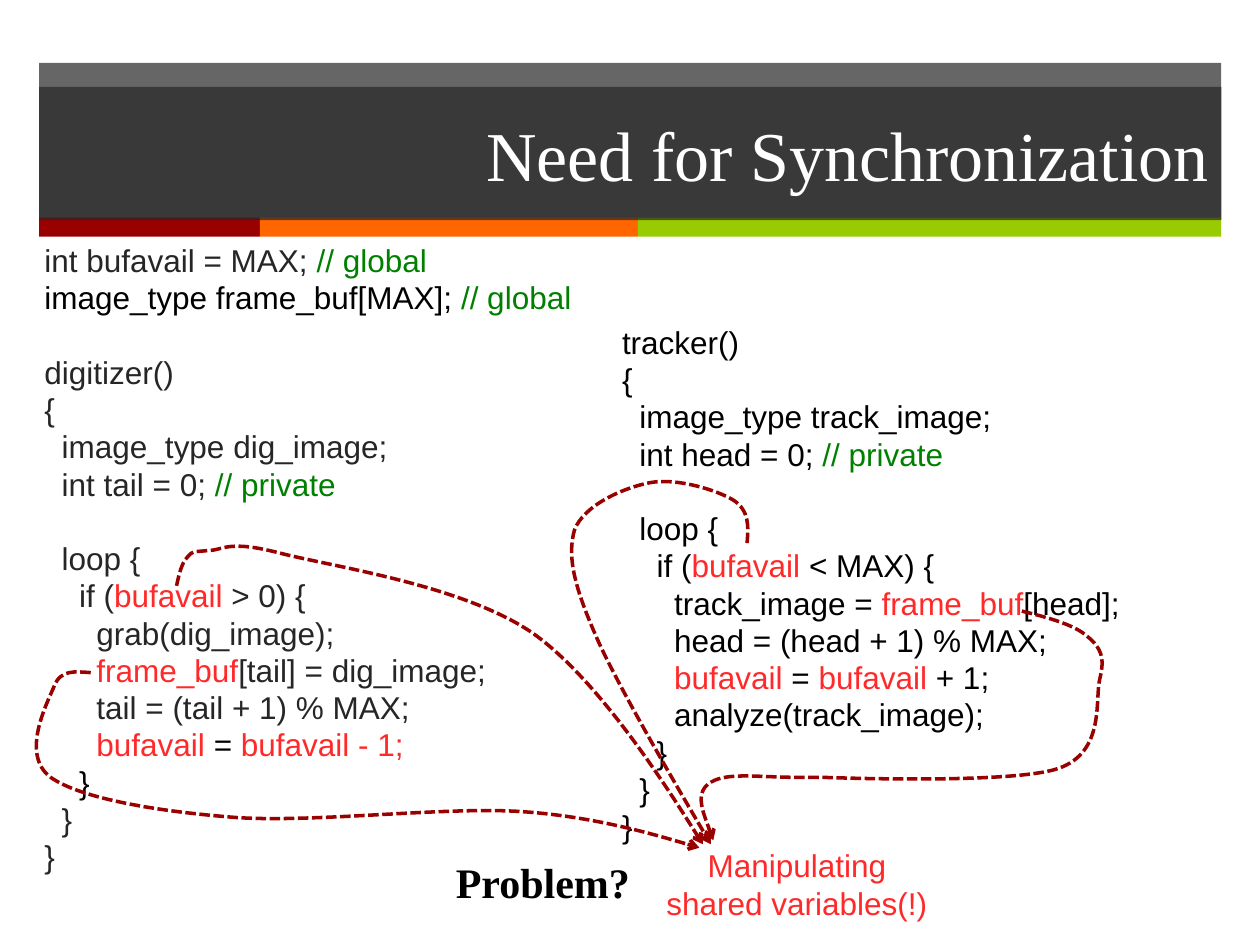
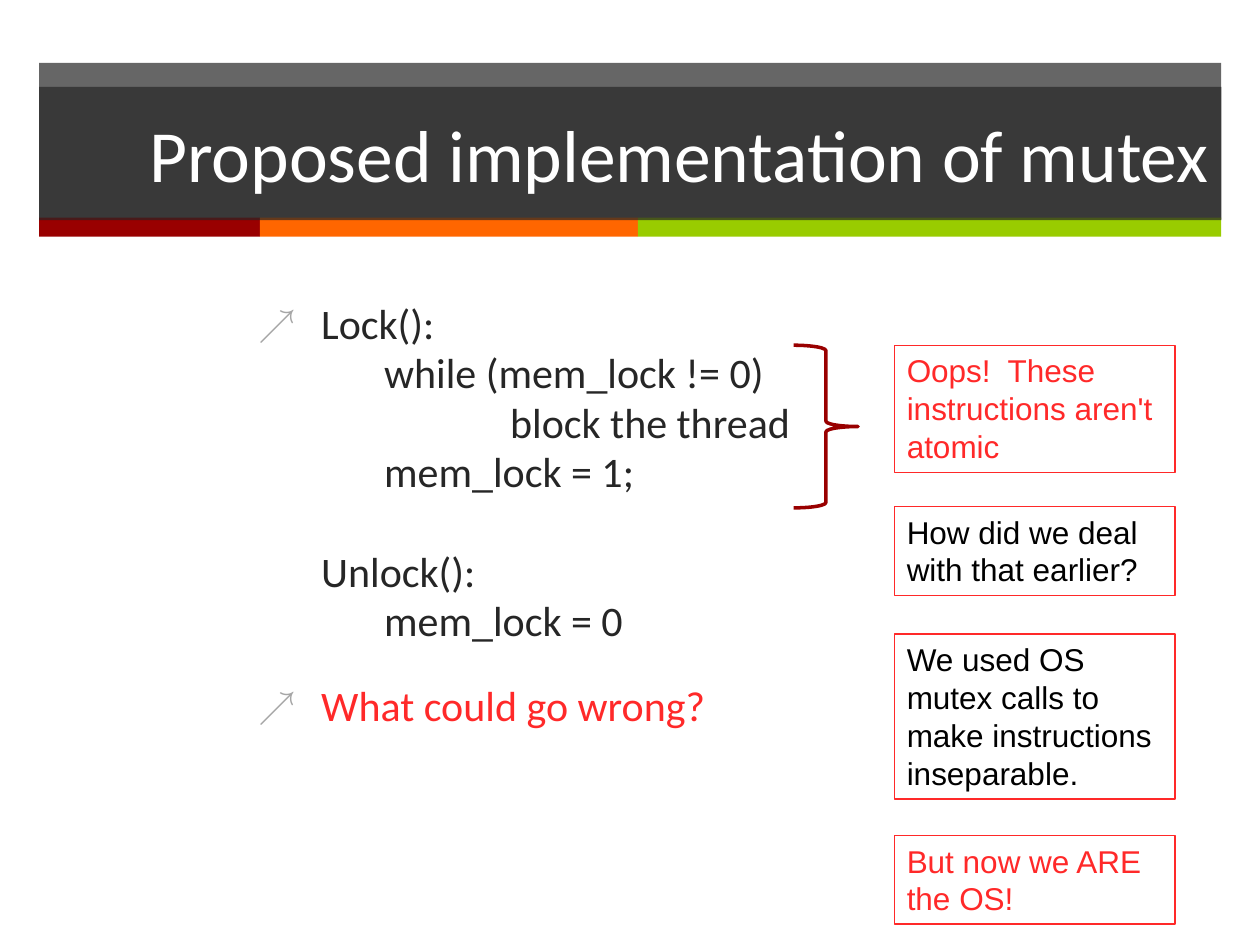
"""Build two slides on thread synchronization and a proposed mutex."""
from dataclasses import dataclass

from lxml import etree
from pptx import Presentation
from pptx.dml.color import RGBColor
from pptx.enum.dml import MSO_LINE
from pptx.enum.shapes import MSO_SHAPE
from pptx.enum.text import MSO_ANCHOR, MSO_AUTO_SIZE, PP_ALIGN
from pptx.oxml.ns import qn
from pptx.util import Cm, Pt

RECTANGLE, RIGHT_BRACE = MSO_SHAPE.RECTANGLE, MSO_SHAPE.RIGHT_BRACE
DASHED = MSO_LINE.SQUARE_DOT
TOP, MIDDLE = MSO_ANCHOR.TOP, MSO_ANCHOR.MIDDLE
LEFT, CENTER, RIGHT = PP_ALIGN.LEFT, PP_ALIGN.CENTER, PP_ALIGN.RIGHT
FIXED_SIZE = MSO_AUTO_SIZE.NONE

WHITE = RGBColor(0xFF, 0xFF, 0xFF)
BLACK = RGBColor(0x00, 0x00, 0x00)
CHARCOAL = RGBColor(0x26, 0x26, 0x26)
DARK_RED = RGBColor(0x99, 0x00, 0x00)
ORANGE = RGBColor(0xFF, 0x66, 0x00)
LIME = RGBColor(0x99, 0xCC, 0x00)
GREEN = RGBColor(0x00, 0x80, 0x00)
RED = RGBColor(0xFF, 0x29, 0x29)
BULLET_GREY = "A6A6A6"

SANS, SERIF, CALIBRI = "Arial", "Times New Roman", "Calibri"

BAND_LEFT, BAND_WIDTH = 0.79, 23.83
STRIPE_TOP, STRIPE_HEIGHT = 4.39, 0.38
STRIPES = ((4.45, DARK_RED), (7.62, ORANGE), (11.76, LIME))
CODE_STEP = 0.35


@dataclass(frozen=True)
class Box:
    """A rectangle on the slide, in centimetres."""
    left: float
    top: float
    width: float
    height: float

    def lengths(self) -> tuple:
        """Return the four values as slide lengths."""
        return Cm(self.left), Cm(self.top), Cm(self.width), Cm(self.height)


@dataclass(frozen=True)
class TextStyle:
    """Font, size and weight of a run."""
    font: str
    size: float
    bold: bool = False


@dataclass(frozen=True)
class Line:
    """One line of code: nesting depth, (text, colour) tokens, blank line above."""
    depth: int
    tokens: tuple
    gap: bool = False


@dataclass(frozen=True)
class MutexLine:
    """One line of the mutex list, indented and spaced from the line above."""
    text: str
    indent: float
    space: float = 0
    bullet: bool = False
    color: RGBColor = CHARCOAL


@dataclass(frozen=True)
class Remark:
    """A framed remark, as tall as its number of lines."""
    text: str
    top: float
    lines: int
    color: RGBColor


CODE = TextStyle(SANS, 18)
LIST = TextStyle(CALIBRI, 24)

DIGITIZER = (
    Line(0, (("int bufavail = MAX; ", CHARCOAL), ("// global", GREEN))),
    Line(0, (("image_type frame_buf[MAX]; ", BLACK), ("// global", GREEN))),
    Line(0, (("digitizer()", CHARCOAL),), gap=True),
    Line(0, (("{", CHARCOAL),)),
    Line(1, (("image_type dig_image;", CHARCOAL),)),
    Line(1, (("int tail = 0; ", CHARCOAL), ("// private", GREEN))),
    Line(1, (("loop {", CHARCOAL),), gap=True),
    Line(2, (("if (", CHARCOAL), ("bufavail ", RED), ("> 0) {", CHARCOAL))),
    Line(3, (("grab(dig_image);", CHARCOAL),)),
    Line(3, (("frame_buf", RED), ("[tail] = dig_image;", CHARCOAL))),
    Line(3, (("tail = (tail + 1) % MAX;", CHARCOAL),)),
    Line(3, (("bufavail ", RED), ("= ", BLACK), ("bufavail - 1;", RED))),
    Line(2, (("}", BLACK),)),
    Line(1, (("}", CHARCOAL),)),
    Line(0, (("}", CHARCOAL),)),
)
TRACKER = (
    Line(0, (("tracker()", BLACK),)),
    Line(0, (("{", BLACK),)),
    Line(1, (("image_type track_image;", BLACK),)),
    Line(1, (("int head = 0; ", BLACK), ("// private", GREEN))),
    Line(1, (("loop {", BLACK),), gap=True),
    Line(2, (("if (", BLACK), ("bufavail ", RED), ("< MAX) {", BLACK))),
    Line(3, (("track_image = ", BLACK), ("frame_buf", RED), ("[head];", BLACK))),
    Line(3, (("head = (head + 1) % MAX;", BLACK),)),
    Line(3, (("bufavail ", RED), ("= ", BLACK), ("bufavail ", RED), ("+ 1;", BLACK))),
    Line(3, (("analyze(track_image);", BLACK),)),
    Line(2, (("}", BLACK),)),
    Line(1, (("}", BLACK),)),
    Line(0, (("}", BLACK),)),
)

# Each arrow: a start point, then three Bezier points per segment.
SHARED_ACCESS_ARROWS = (
    ((3.56, 11.81), (3.61, 11.58), (3.66, 11.35), (3.78, 11.23),
     (3.89, 11.1), (3.89, 11.13), (4.19, 11.1),
     (4.5, 11.1), (4.57, 10.87), (5.64, 11.15),
     (6.73, 11.43), (9.3, 11.79), (10.72, 12.75),
     (12.14, 13.74), (14.17, 17.02), (14.17, 17.02)),
    ((15.06, 10.95), (15.09, 10.62), (15.11, 10.29), (14.78, 10.08),
     (14.45, 9.88), (13.64, 9.63), (13.11, 9.73),
     (12.57, 9.83), (11.76, 10.19), (11.58, 10.69),
     (11.43, 11.23), (11.58, 11.84), (12.04, 12.88),
     (12.5, 13.92), (14.33, 17.02), (14.33, 17.02)),
    ((1.83, 13.56), (1.52, 13.54), (1.22, 13.49), (1.09, 13.84),
     (0.94, 14.2), (0.41, 15.21), (1.02, 15.67),
     (1.63, 16.1), (3.18, 16.36), (4.75, 16.48),
     (6.35, 16.59), (8.94, 16.26), (10.49, 16.36),
     (12.04, 16.46), (14.1, 17.09), (14.1, 17.09)),
    ((20.6, 12.32), (21.13, 12.45), (21.67, 12.6), (21.92, 12.83),
     (22.2, 13.06), (22.28, 13.26), (22.17, 13.69),
     (22.07, 14.12), (22.28, 15.16), (21.34, 15.49),
     (20.4, 15.82), (16.56, 15.67), (16.56, 15.67),
     (15.39, 15.7), (14.71, 15.54), (14.33, 15.77),
     (13.97, 15.98), (14.38, 16.94), (14.38, 16.94)),
)

MUTEX = (
    MutexLine("Lock():", 1.27, bullet=True),
    MutexLine("while (mem_lock != 0)", 2.54),
    MutexLine("block the thread", 5.08),
    MutexLine("mem_lock = 1;", 2.54),
    MutexLine("Unlock():", 1.27, space=28.8),
    MutexLine("mem_lock = 0", 2.54),
    MutexLine("What could go wrong?", 1.27, space=20, bullet=True, color=RED),
)
REMARKS = (
    Remark("Oops!  These instructions aren't atomic", 6.96, 3, RED),
    Remark("How did we deal with that earlier?", 10.21, 2, BLACK),
    Remark("We used OS mutex calls to make instructions inseparable.", 12.78, 4, BLACK),
    Remark("But now we ARE the OS!", 16.84, 2, RED),
)


def add_run(paragraph, text: str, style: TextStyle, color: RGBColor) -> None:
    """Append one formatted run."""
    run = paragraph.add_run()
    run.text = text
    run.font.name, run.font.size = style.font, Pt(style.size)
    run.font.bold = style.bold
    run.font.color.rgb = color


def place(shape, box: Box) -> None:
    """Move and size a placeholder."""
    shape.left, shape.top, shape.width, shape.height = box.lengths()


def prepare_frame(frame, anchor=TOP, wrap: bool = True) -> None:
    """Set how a text frame holds its text."""
    frame.auto_size = FIXED_SIZE
    frame.word_wrap = wrap
    frame.vertical_anchor = anchor


def next_paragraph(frame, index: int):
    """Return the first paragraph of a frame, or a new one."""
    return frame.add_paragraph() if index else frame.paragraphs[0]


def fill_charcoal_glass(shape) -> None:
    """Fill a shape with charcoal at 70 percent opacity."""
    shape.fill.solid()
    shape.fill.fore_color.rgb = CHARCOAL
    color = shape.element.spPr.find(".//" + qn("a:srgbClr"))
    etree.SubElement(color, qn("a:alpha"), val="70000")


def set_indent(paragraph, margin: float, bullet: bool = False) -> None:
    """Set the left margin and an arrow bullet or none."""
    properties = paragraph._p.get_or_add_pPr()
    properties.set("marL", str(Cm(margin)))
    properties.set("indent", str(-Cm(margin) if bullet else 0))
    if bullet:
        color = etree.SubElement(properties, qn("a:buClr"))
        etree.SubElement(color, qn("a:srgbClr"), val=BULLET_GREY)
        etree.SubElement(properties, qn("a:buSzPct"), val="90000")
        etree.SubElement(properties, qn("a:buChar"), char="\u2197")
    else:
        etree.SubElement(properties, qn("a:buNone"))


def add_plain_shape(slide, kind, box: Box):
    """Add a preset shape without shadow, fill or line."""
    shape = slide.shapes.add_shape(kind, *box.lengths())
    shape.shadow.inherit = False
    shape.fill.background()
    shape.line.fill.background()
    return shape


def add_bands(slide, layout) -> None:
    """Draw the header band and stripes, then hand them to the layout."""
    header = add_plain_shape(slide, RECTANGLE, Box(BAND_LEFT, 1.27, BAND_WIDTH, 3.15))
    fill_charcoal_glass(header)
    bands, left = [header], BAND_LEFT
    for width, color in STRIPES:
        stripe = add_plain_shape(slide, RECTANGLE, Box(left, STRIPE_TOP, width, STRIPE_HEIGHT))
        stripe.fill.solid()
        stripe.fill.fore_color.rgb = color
        bands.append(stripe)
        left += width
    for index, band in enumerate(bands):
        band.element.nvSpPr.cNvPr.set("id", str(101 + index))
        layout.shapes.element.insert(2 + index, band.element)


def set_title(slide, text: str, style: TextStyle) -> None:
    """Place the title bar and write its text."""
    title = slide.shapes.title
    place(title, Box(BAND_LEFT, 1.75, BAND_WIDTH, 2.69))
    fill_charcoal_glass(title)
    prepare_frame(title.text_frame, MIDDLE)
    heading = title.text_frame.paragraphs[0]
    heading.alignment = RIGHT
    add_run(heading, text, style, WHITE)


def write_code(frame, lines: tuple) -> None:
    """Write code lines, indented by depth."""
    prepare_frame(frame)
    for index, line in enumerate(lines):
        paragraph = next_paragraph(frame, index)
        set_indent(paragraph, line.depth * CODE_STEP)
        paragraph.line_spacing = 0.8
        paragraph.space_before = Pt((25.3 if line.gap else 4) if index else 0)
        for text, color in line.tokens:
            add_run(paragraph, text, CODE, color)


def add_label(slide, box: Box, text: str, style: TextStyle, color: RGBColor,
              align=LEFT, wrap: bool = True) -> None:
    """Add a one-paragraph text box."""
    frame = slide.shapes.add_textbox(*box.lengths()).text_frame
    prepare_frame(frame, wrap=wrap)
    frame.paragraphs[0].alignment = align
    add_run(frame.paragraphs[0], text, style, color)


def add_curved_arrow(slide, points: tuple) -> None:
    """Draw a dashed Bezier arrow through the given points."""
    start, *rest = [(Cm(x), Cm(y)) for x, y in points]
    builder = slide.shapes.build_freeform(*start)
    builder.add_line_segments(rest, close=False)
    arrow = builder.convert_to_shape()
    arrow.shadow.inherit = False
    arrow.fill.background()
    arrow.line.color.rgb, arrow.line.width = DARK_RED, Pt(2)
    arrow.line.dash_style = DASHED
    etree.SubElement(arrow.element.spPr.find(qn("a:ln")), qn("a:tailEnd"), type="arrow")
    outline = arrow.element.find(".//" + qn("a:path"))
    segments = outline.findall(qn("a:lnTo"))
    for first in range(0, len(segments), 3):
        curve = etree.SubElement(outline, qn("a:cubicBezTo"))
        for segment in segments[first:first + 3]:
            curve.append(segment[0])
            outline.remove(segment)


def build_synchronization(slide) -> None:
    """Fill the slide on shared variables."""
    set_title(slide, "Need for Synchronization", TextStyle(SERIF, 40))
    digitizer = slide.placeholders[1]
    place(digitizer, Box(0.64, 4.88, 12.07, 13.31))
    write_code(digitizer.text_frame, DIGITIZER)
    tracker = slide.shapes.add_textbox(*Box(12.29, 6.53, 12.7, 11.66).lengths())
    write_code(tracker.text_frame, TRACKER)
    add_label(slide, Box(8.94, 17.15, 4.04, 1.27), "Problem?",
              TextStyle(SERIF, 24, bold=True), BLACK, wrap=False)
    add_label(slide, Box(12.98, 16.94, 6.17, 1.8), "Manipulating shared variables(!)",
              CODE, RED, CENTER)
    for points in SHARED_ACCESS_ARROWS:
        add_curved_arrow(slide, points)


def build_mutex(slide) -> None:
    """Fill the slide on the proposed mutex."""
    set_title(slide, "Proposed implementation of mutex", TextStyle(CALIBRI, 42))
    steps = slide.placeholders[1]
    place(steps, Box(4.95, 5.92, 19.66, 11.1))
    prepare_frame(steps.text_frame)
    for index, line in enumerate(MUTEX):
        paragraph = next_paragraph(steps.text_frame, index)
        set_indent(paragraph, line.indent, line.bullet)
        paragraph.line_spacing = 0.98
        paragraph.space_before = Pt(line.space)
        add_run(paragraph, line.text, LIST, line.color)
    brace = add_plain_shape(slide, RIGHT_BRACE, Box(16, 6.96, 1.3, 3.28))
    brace.line.color.rgb, brace.line.width = DARK_RED, Pt(2)
    for remark in REMARKS:
        box = Box(18.03, remark.top, 5.66, 0.25 + 0.77 * remark.lines)
        note = add_plain_shape(slide, RECTANGLE, box)
        note.line.color.rgb, note.line.width = RED, Pt(0.75)
        prepare_frame(note.text_frame)
        sentence = note.text_frame.paragraphs[0]
        sentence.alignment = LEFT
        add_run(sentence, remark.text, CODE, remark.color)


def main() -> None:
    """Build and save the presentation."""
    deck = Presentation()
    deck.slide_width, deck.slide_height = Cm(25.4), Cm(19.05)
    layout = deck.slide_layouts[1]
    synchronization, mutex = (deck.slides.add_slide(layout) for _ in range(2))
    add_bands(synchronization, layout)
    build_synchronization(synchronization)
    build_mutex(mutex)
    deck.save("out.pptx")


main()
